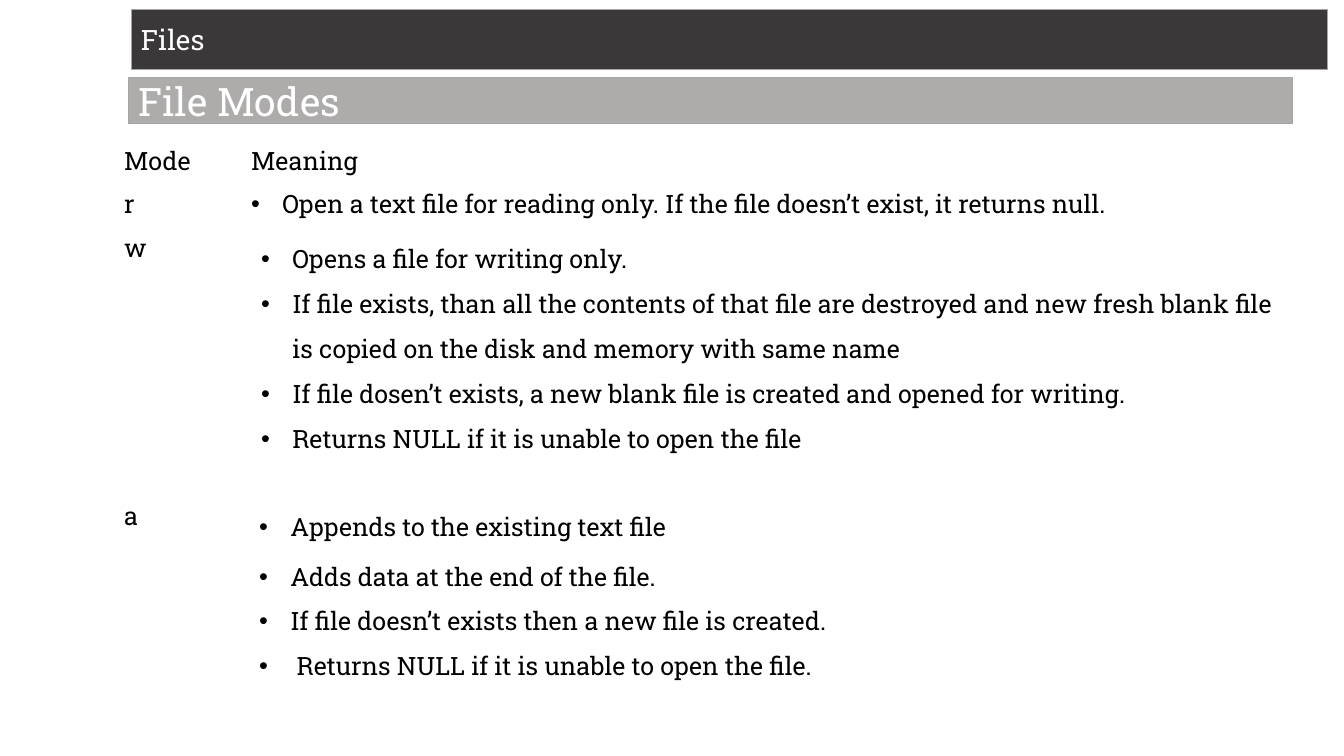
from pptx import Presentation
from pptx.dml.color import RGBColor
from pptx.enum.shapes import MSO_SHAPE as SHAPE
from pptx.enum.text import MSO_ANCHOR as ANCHOR, MSO_AUTO_SIZE as AUTO, PP_ALIGN as ALIGN
from pptx.util import Inches, Pt
from lxml import etree

FONT = "Roboto Slab"
COLORS = {"dark": "3A3838", "grey": "AEABAB", "edge": "A5A5A5",
          "white": "FFFFFF", "black": "000000"}


def rgb(name):
    return RGBColor.from_string(COLORS[name])


def add_text(tf, text, size=18, color="black", indent=None, spacing=None, before=0):
    """Fill the first paragraph, or append one if it is taken; indent adds a bullet."""
    p = tf.paragraphs[0]
    if p.runs:
        p = tf.add_paragraph()
    p.alignment = ALIGN.LEFT
    p.space_before = Pt(before)
    if spacing:
        p.line_spacing = spacing
    if indent:
        pPr = p._p.get_or_add_pPr()
        pPr.set("marL", str(Inches(indent)))
        pPr.set("indent", str(Inches(-0.31)))
        ns = pPr.nsmap["a"]
        etree.SubElement(pPr, f"{{{ns}}}buFont", typeface="Arial")
        etree.SubElement(pPr, f"{{{ns}}}buChar", char="•")
    r = p.add_run()
    r.text = text
    r.font.size = Pt(size)
    r.font.name = FONT
    r.font.color.rgb = rgb(color)


prs = Presentation()
prs.slide_width, prs.slide_height = Inches(13.33), Inches(7.5)
slide = prs.slides.add_slide(prs.slide_layouts[5])

# Table: mode, bullet indent, line spacing, meaning as (text, space before)
modes = [
    ("Mode", None, None, [("Meaning", 0)]),
    ("r", 0.31, None, [
        ("Open a text file for reading only. If the file doesn’t exist, it returns null.", 0)]),
    ("w", 0.41, 1.35, [
        ("Opens a file for writing only.", 0),
        ("If file exists, than all the contents of that file are destroyed and new "
         "fresh blank file  is copied on the disk and memory with same name", 0),
        ("If file dosen’t exists, a new blank file is created and opened for writing.", 0),
        ("Returns NULL if it is unable to open the file", 0)]),
    ("a", 0.39, 1.33, [
        ("Appends to the existing text file", 0),
        ("Adds data at the end of the file.", 4.2),
        ("If file doesn’t exists then a new file is created.", 0),
        (" Returns NULL if it is unable to open the file.", 0)]),
]
row_heights = [0.43, 0.43, 2.66, 1.9]
table = slide.shapes.add_table(len(modes), 2, Inches(1.13), Inches(1.38),
                               Inches(11.69), Inches(sum(row_heights))).table
table.first_row = table.horz_banding = False
for col, width in zip(table.columns, (1.26, 10.43)):
    col.width = Inches(width)
for row, height, (mode, indent, spacing, meaning) in zip(table.rows, row_heights, modes):
    row.height = Inches(height)
    for cell in row.cells:
        cell.fill.background()
    mode_cell, meaning_cell = row.cells
    add_text(mode_cell.text_frame, mode)
    for text, before in meaning:
        add_text(meaning_cell.text_frame, text, indent=indent, spacing=spacing, before=before)

# Heading bars: the topic banner and the slide title
banner = slide.shapes.add_shape(SHAPE.RECTANGLE, 0, 0, 0, 0)
banner.shadow.inherit = False
bars = [
    (banner, "Files", 20, "dark", (1.3, 0.09, 11.87, 0.6)),
    (slide.shapes.title, "File Modes", 28, "grey", (1.27, 0.77, 11.55, 0.46)),
]
for sp, text, size, fill, box in bars:
    sp.left, sp.top, sp.width, sp.height = map(Inches, box)
    sp.fill.solid()
    sp.fill.fore_color.rgb = rgb(fill)
    sp.line.color.rgb = rgb("edge")
    sp.line.width = Pt(0.75)
    tf = sp.text_frame
    tf.word_wrap = True
    tf.auto_size = AUTO.NONE
    tf.vertical_anchor = ANCHOR.MIDDLE
    add_text(tf, text, size=size, color="white")

prs.save("out.pptx")
